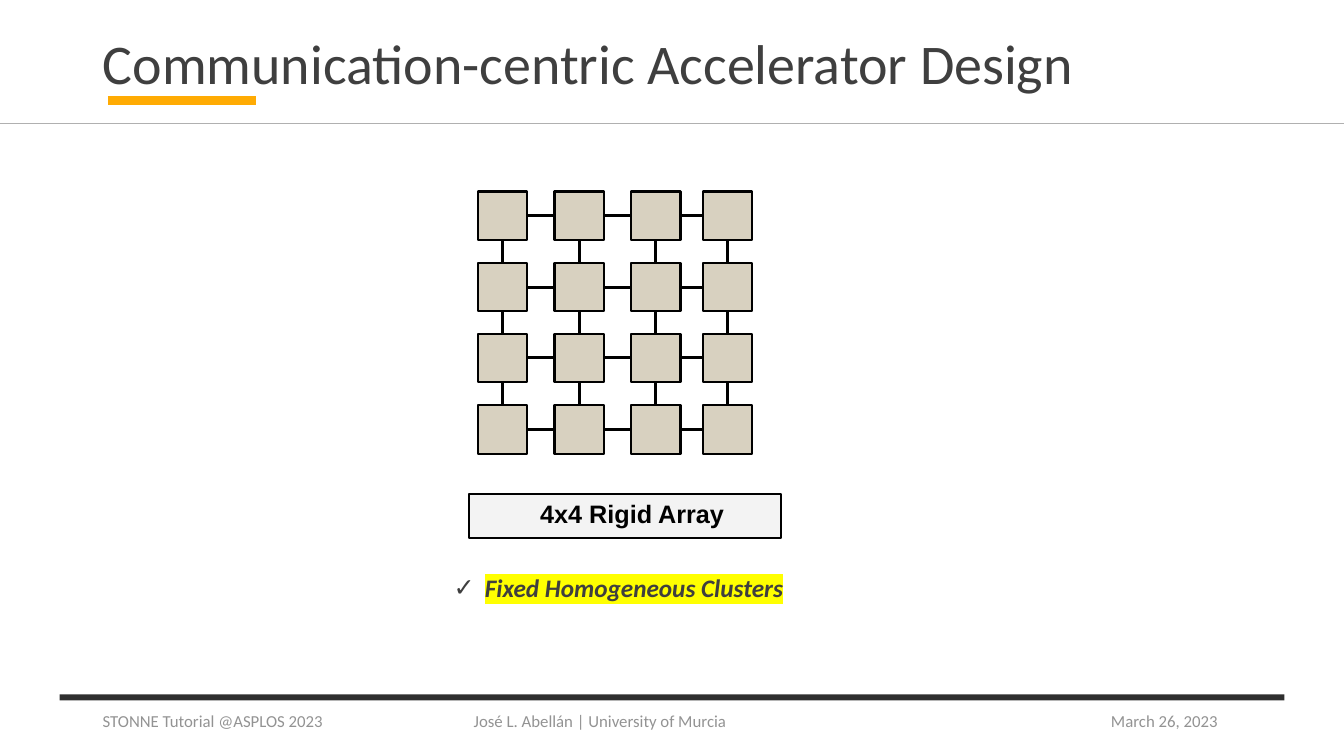
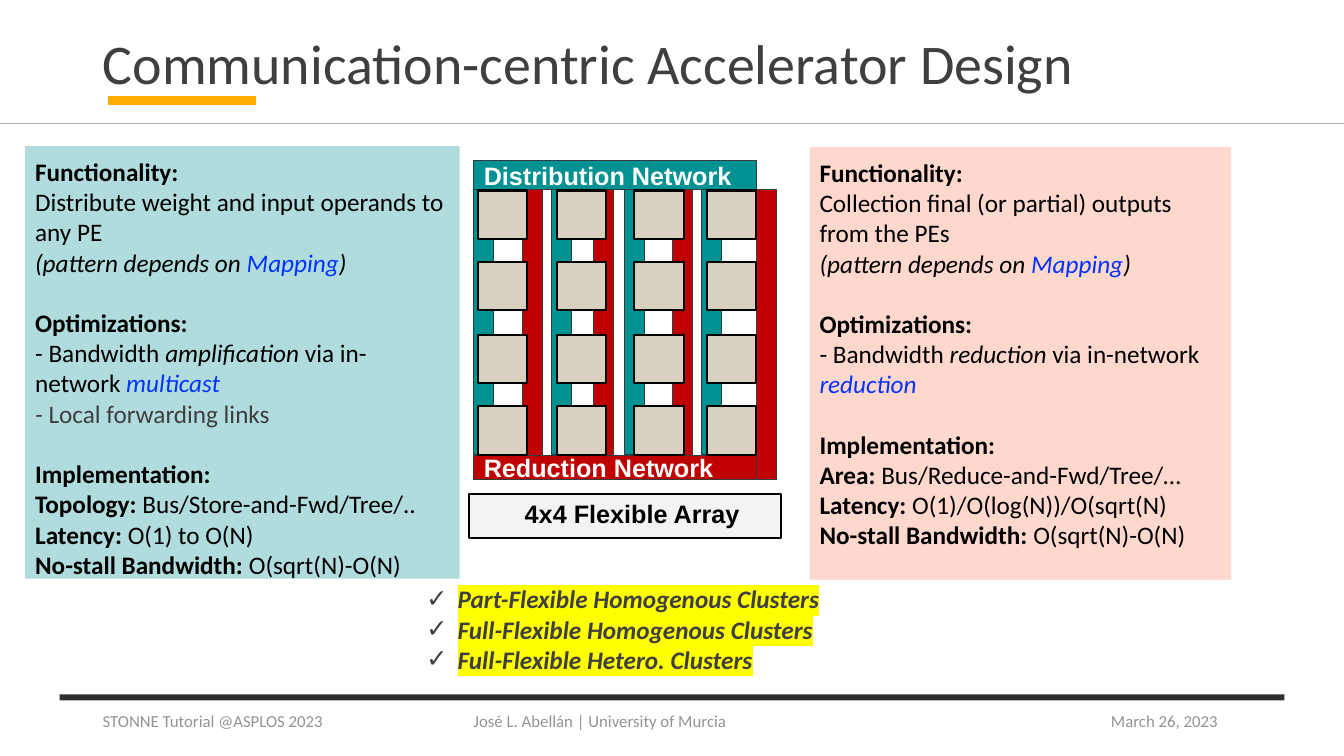
from dataclasses import dataclass
from itertools import product

from lxml import etree
from pptx import Presentation
from pptx.dml.color import RGBColor
from pptx.enum.shapes import MSO_CONNECTOR, MSO_SHAPE
from pptx.enum.text import MSO_ANCHOR, MSO_AUTO_SIZE, PP_ALIGN
from pptx.oxml.ns import qn
from pptx.shapes.autoshape import Shape
from pptx.shapes.connector import Connector
from pptx.slide import Slide
from pptx.text.text import TextFrame
from pptx.util import Pt

PX = 9144
RECT = MSO_SHAPE.RECTANGLE
LINE = MSO_CONNECTOR.STRAIGHT
TOP, MIDDLE, BOTTOM = MSO_ANCHOR.TOP, MSO_ANCHOR.MIDDLE, MSO_ANCHOR.BOTTOM
LEFT, CENTER = PP_ALIGN.LEFT, PP_ALIGN.CENTER
FIXED = MSO_AUTO_SIZE.NONE

HUES = {
    "black": "000000",
    "white": "FFFFFF",
    "ink": "3F3F3F",
    "band": "2F2F2F",
    "muted": "939393",
    "rule": "B0B0B0",
    "accent": "FFAB03",
    "edge": "313C41",
    "label": "F3F3F3",
    "sand": "D8D1C0",
    "teal": "009193",
    "red": "C00000",
    "pink": "FED7CD",
    "link": "0432FF",
    "mark": "FFFF00",
}


@dataclass(frozen=True)
class Box:
    x: int
    y: int
    w: int
    h: int


@dataclass(frozen=True)
class Run:
    text: str
    bold: bool = False
    slant: bool = False
    hue: str = ""


@dataclass(frozen=True)
class Para:
    runs: tuple[Run, ...]
    gap: float = 0


@dataclass(frozen=True)
class Panel:
    box: Box
    hue: str
    alpha: int
    paras: list[Para]


@dataclass(frozen=True)
class Grid:
    cols: tuple[int, ...]
    top: int
    span: int


TITLE = "Communication-centric Accelerator Design"
FOOT = (
    (Box(92, 695, 300, 40), "STONNE Tutorial @ASPLOS 2023"),
    (Box(460, 695, 449, 40), "José L. Abellán | University of Murcia"),
    (Box(1092, 695, 228, 40), "March 26, 2023"),
)
RIGID = Grid((474, 550, 626, 697), 190, 212)
FLEX = Grid((474, 552, 629, 701), 189, 214)
LANES = (
    [("red", Box(x, 188, 20, h)) for x, h in ((518, 264), (589, 264), (667, 264), (750, 288))]
    + [("teal", Box(x, 159, 20, 292)) for x in (470, 547, 619, 696)]
)
NETS = (
    ("Distribution Network", "teal", Box(470, 159, 280, 29)),
    ("Reduction Network", "red", Box(470, 452, 280, 24)),
)


def tint(name: str) -> RGBColor:
    return RGBColor.from_string(HUES[name])


def write(frame: TextFrame, text: str | list[Para], *, size: int = 18, font: str = "Calibri",
          hue: str = "black", bold: bool = False, slant: bool = False, mark: str = "",
          bullet: str = "", align: PP_ALIGN = LEFT, anchor: MSO_ANCHOR = TOP,
          inset: tuple[int, int, int, int] = (10, 10, 10, 10), pitch: float = 1.0) -> None:
    frame.word_wrap = True
    frame.auto_size = FIXED
    frame.vertical_anchor = anchor
    (frame.margin_left, frame.margin_top,
     frame.margin_right, frame.margin_bottom) = (v * PX for v in inset)
    paras = [Para((Run(t),)) for t in text.split("\n")] if isinstance(text, str) else text
    for i, para in enumerate(paras):
        line = frame.paragraphs[0] if i == 0 else frame.add_paragraph()
        if bullet:
            props = line._p.get_or_add_pPr()
            props.set("marL", str(31 * PX))
            props.set("indent", str(-31 * PX))
            etree.SubElement(props, qn("a:buFont")).set("typeface", "Arial")
            etree.SubElement(props, qn("a:buChar")).set("char", bullet)
        line.alignment = align
        if pitch != 1.0:
            line.line_spacing = pitch
        if para.gap:
            line.space_before = Pt(para.gap)
        for part in para.runs:
            run = line.add_run()
            run.text = part.text
            face = run.font
            face.size, face.name = Pt(size), font
            face.bold, face.italic = bold or part.bold, slant or part.slant
            face.color.rgb = tint(part.hue or hue)
            if mark:
                glow = etree.Element(qn("a:highlight"))
                etree.SubElement(glow, qn("a:srgbClr")).set("val", HUES[mark])
                run._r.rPr.find(qn("a:solidFill")).addnext(glow)


def block(slide: Slide, box: Box, fill: str, edge: str = "", width: float = 1.5,
          alpha: int = 100) -> Shape:
    shape = slide.shapes.add_shape(RECT, box.x * PX, box.y * PX, box.w * PX, box.h * PX)
    shape.shadow.inherit = False
    shape.fill.solid()
    shape.fill.fore_color.rgb = tint(fill)
    if alpha < 100:
        tone = shape._element.spPr.find(qn("a:solidFill"))[0]
        etree.SubElement(tone, qn("a:alpha")).set("val", str(alpha * 1000))
    if edge:
        shape.line.color.rgb = tint(edge)
        shape.line.width = Pt(width)
    else:
        shape.line.fill.background()
    return shape


def note(slide: Slide, box: Box, text: str, **style) -> None:
    shape = slide.shapes.add_textbox(box.x * PX, box.y * PX, box.w * PX, box.h * PX)
    write(shape.text_frame, text, **style)


def rule(slide: Slide, x1: int, x2: int, y: int, hue: str, width: float) -> Connector:
    line = slide.shapes.add_connector(LINE, x1 * PX, y * PX, x2 * PX, y * PX)
    line.line.color.rgb = tint(hue)
    line.line.width = Pt(width)
    etree.SubElement(line._element.spPr, qn("a:effectLst"))
    return line


def link(slide: Slide, start: Shape, out: int, end: Shape, into: int) -> None:
    line = rule(slide, 0, 0, 0, "black", 2.25)
    line.begin_connect(start, out)
    line.end_connect(end, into)


def base(deck: Presentation) -> Slide:
    slide = deck.slides.add_slide(deck.slide_layouts[5])
    rule(slide, 107, 254, 100, "accent", 6.25)
    block(slide, Box(59, 689, 1215, 6), "band")
    title = slide.shapes.title
    title.left, title.top, title.width, title.height = 92 * PX, 28 * PX, 1150 * PX, 72 * PX
    write(title.text_frame, TITLE, size=40, hue="ink", anchor=BOTTOM,
          inset=(10, 5, 10, 5), pitch=0.85)
    rule(slide, 0, 1333, 123, "rule", 0.75)
    for box, text in FOOT:
        note(slide, box, text, size=12, hue="muted", anchor=MIDDLE, inset=(10, 5, 10, 5))
    return slide


def mesh(slide: Slide, grid: Grid) -> dict[tuple[int, int], Shape]:
    return {
        (r, c): block(slide, Box(grid.cols[c], grid.top + round(grid.span * r / 3), 49, 48),
                      "sand", "black")
        for r, c in product(range(4), range(4))
    }


def label(slide: Slide, text: str) -> None:
    shape = block(slide, Box(465, 490, 310, 44), "label", "black")
    write(shape.text_frame, text, font="Arial", bold=True, align=CENTER, inset=(14, 4, 0, 0))


def checks(slide: Slide, box: Box, text: str) -> None:
    note(slide, box, text, hue="ink", bold=True, slant=True, mark="mark", bullet="✓",
         inset=(10, 5, 10, 5))


def pair(head: str, rest: str) -> Para:
    return Para((Run(head, bold=True), Run(rest)))


def head(text: str, gap: float = 21.5) -> Para:
    return Para((Run(text, bold=True),), gap)


def facts(goal: str, gain: str, via: str, means: str, more: list[Para],
          first: Para, delay: str) -> list[Para]:
    return [
        head("Functionality:", 0),
        Para((Run(goal),)),
        Para((Run("(pattern depends on ", slant=True),
              Run("Mapping", slant=True, hue="link"), Run(")", slant=True))),
        head("Optimizations:"),
        Para((Run("- Bandwidth "), Run(gain, slant=True), Run(via),
              Run(means, slant=True, hue="link"))),
        *more,
        head("Implementation:"),
        first,
        pair("Latency: ", delay),
        pair("No-stall Bandwidth: ", "O(sqrt(N)-O(N)"),
    ]


PANELS = (
    Panel(Box(25, 145, 431, 429), "teal", 31, facts(
        "Distribute weight and input operands to any PE",
        "amplification", " via in-network ", "multicast",
        [Para((Run("- ", slant=True, hue="ink"), Run("Local forwarding links", hue="ink")))],
        pair("Topology: ", "Bus/Store-and-Fwd/Tree/.."), "O(1) to O(N)")),
    Panel(Box(803, 146, 418, 429), "pink", 100, facts(
        "Collection final (or partial) outputs from the PEs",
        "reduction", " via in-network ", "reduction", [],
        pair("Area: ", "Bus/Reduce-and-Fwd/Tree/…"), "O(1)/O(log(N))/O(sqrt(N)")),
)


def rigid(deck: Presentation) -> None:
    slide = base(deck)
    cells = mesh(slide, RIGID)
    for (r, c), cell in cells.items():
        if c < 3:
            link(slide, cell, 3, cells[r, c + 1], 1)
        if r < 3:
            link(slide, cell, 2, cells[r + 1, c], 0)
    label(slide, "4x4 Rigid Array")
    checks(slide, Box(440, 563, 351, 71), "Fixed Homogeneous Clusters")


def flex(deck: Presentation) -> None:
    slide = base(deck)
    label(slide, "4x4 Flexible Array")
    for hue, box in LANES:
        block(slide, box, hue, "edge", 0.75)
    for text, hue, box in NETS:
        shape = block(slide, box, hue, "edge", 0.75)
        write(shape.text_frame, text, font="Arial", hue="white", bold=True, anchor=MIDDLE)
    mesh(slide, FLEX)
    for panel in PANELS:
        shape = block(slide, panel.box, panel.hue, alpha=panel.alpha)
        write(shape.text_frame, panel.paras)
    checks(slide, Box(413, 574, 415, 101),
           "Part-Flexible Homogenous Clusters\nFull-Flexible Homogenous Clusters\n"
           "Full-Flexible Hetero. Clusters")


def main() -> None:
    deck = Presentation()
    deck.slide_width, deck.slide_height = 1333 * PX, 750 * PX
    rigid(deck)
    flex(deck)
    deck.save("out.pptx")


if __name__ == "__main__":
    main()
